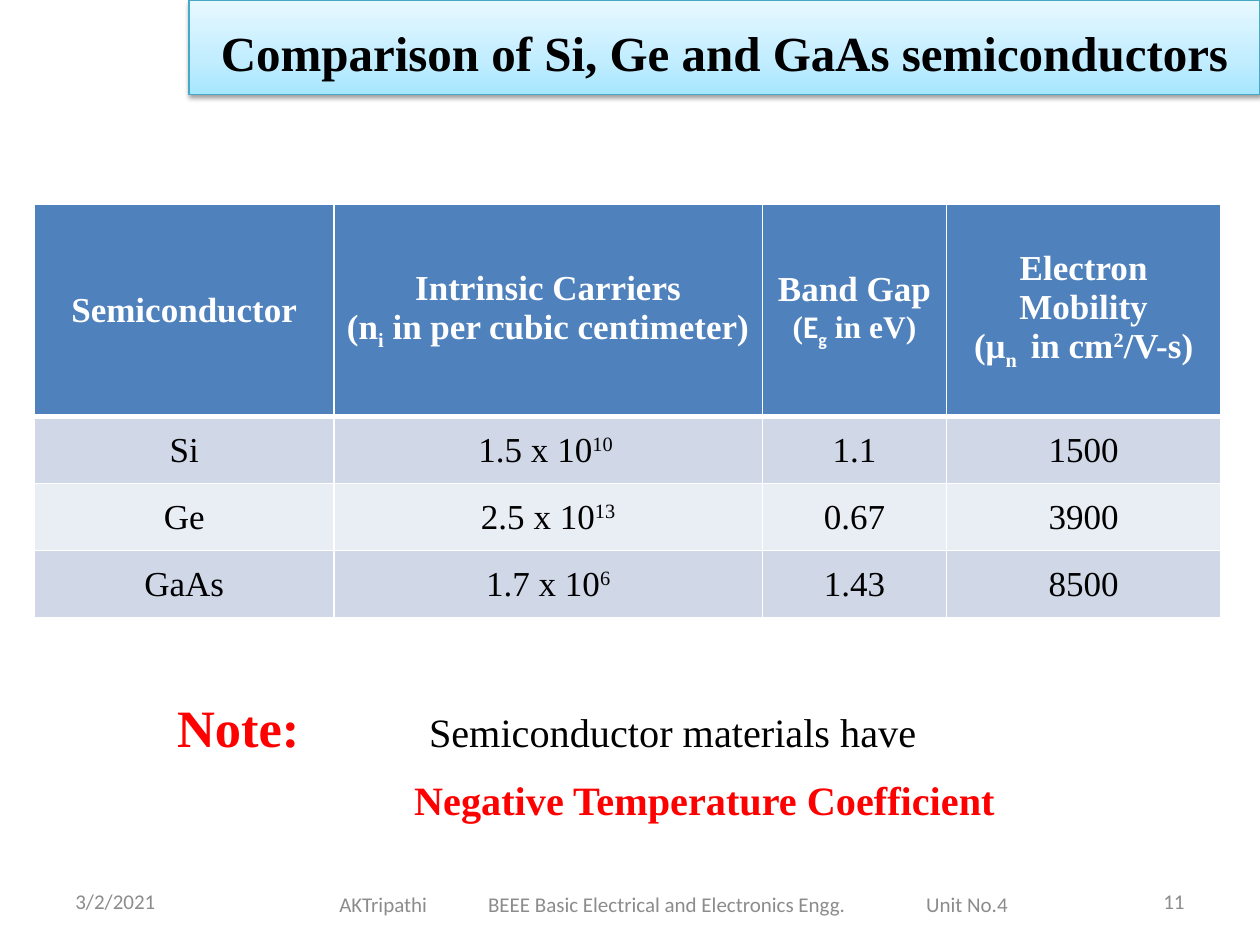
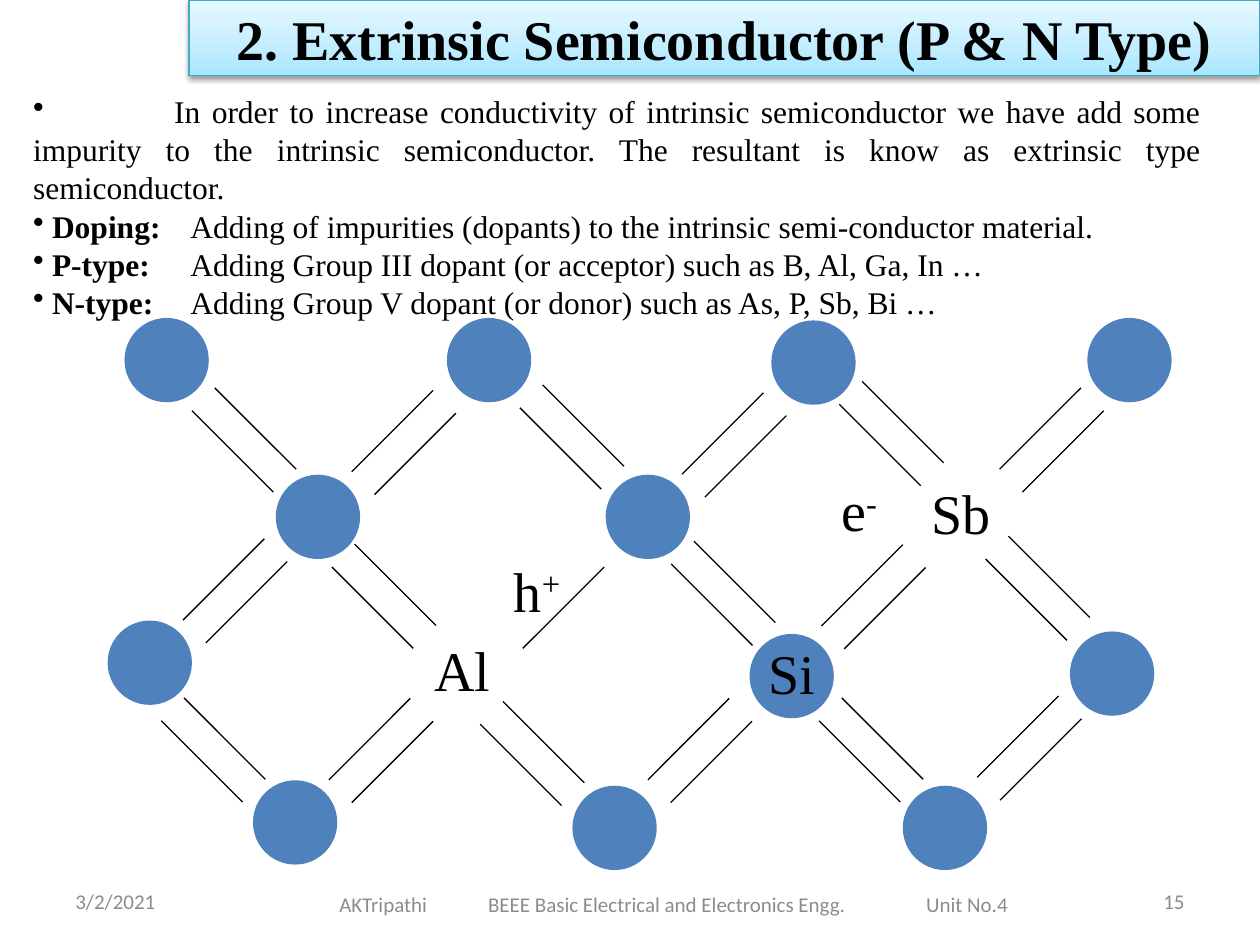
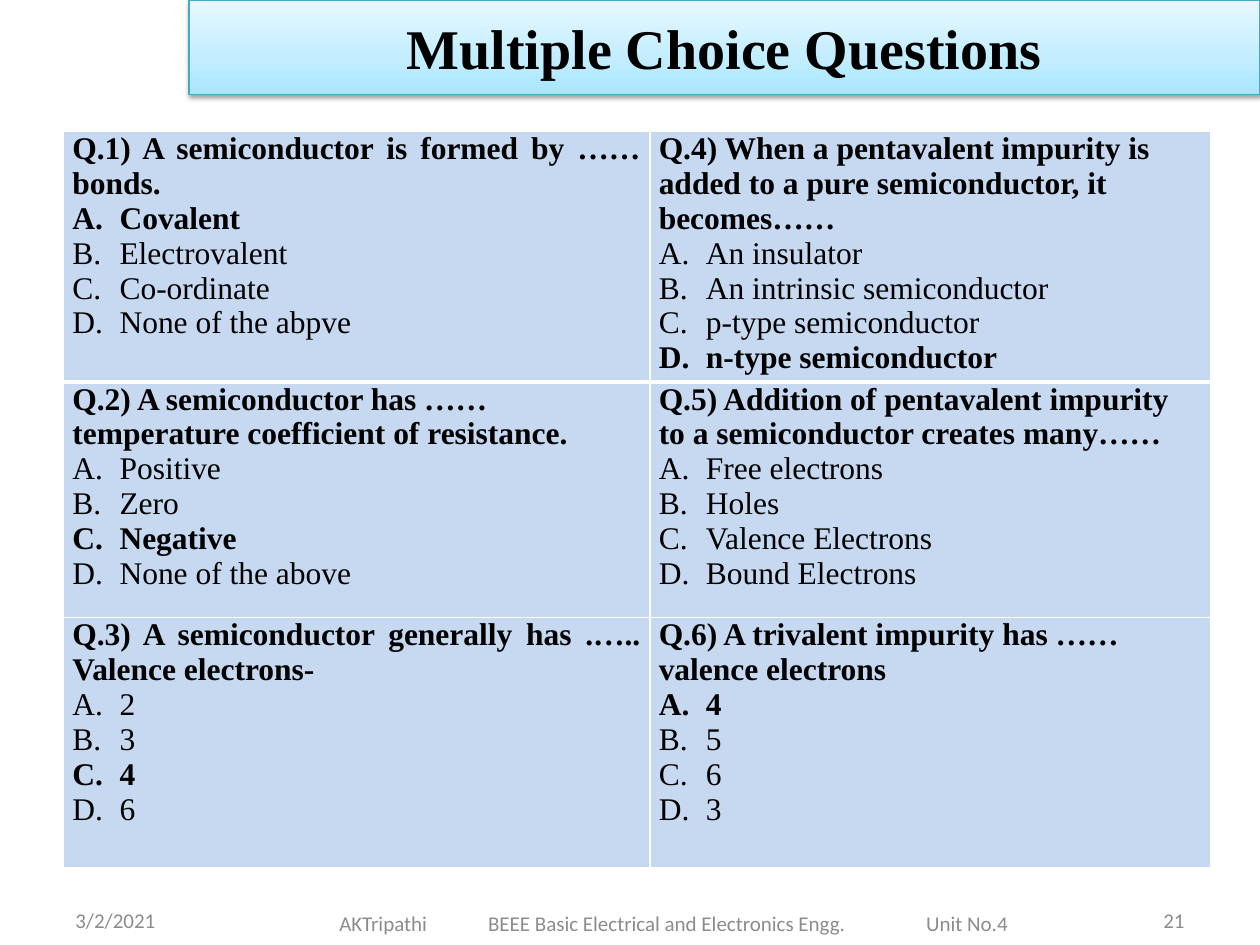
from dataclasses import dataclass
from typing import NamedTuple, Optional

from lxml.etree import SubElement
from pptx import Presentation
from pptx.dml.color import RGBColor
from pptx.enum.shapes import MSO_CONNECTOR, MSO_SHAPE
from pptx.enum.text import MSO_ANCHOR, PP_ALIGN
from pptx.oxml import parse_xml
from pptx.oxml.ns import nsdecls, qn
from pptx.util import Cm, Pt

BLACK = RGBColor(0x00, 0x00, 0x00)
WHITE = RGBColor(0xFF, 0xFF, 0xFF)
RED = RGBColor(0xFF, 0x00, 0x00)
GREY = RGBColor(0x8C, 0x8C, 0x8C)
BLUE = RGBColor(0x4F, 0x81, 0xBD)
ROW_DARK = RGBColor(0xD0, 0xD8, 0xE8)
ROW_LIGHT = RGBColor(0xE9, 0xED, 0xF4)
QUESTION_FILL = RGBColor(0xC6, 0xD9, 0xF1)
BAND_LINE = RGBColor(0x46, 0xAA, 0xC5)
BAND_STOPS = ((0, RGBColor(0xA7, 0xE6, 0xFF)), (35, RGBColor(0xC1, 0xED, 0xFF)),
              (100, RGBColor(0xE7, 0xF8, 0xFF)))
SERIF = "Times New Roman"
SANS = "Calibri"
SUBSCRIPT, SUPERSCRIPT = -25, 30


class Style(NamedTuple):
    size: float
    color: RGBColor = BLACK
    bold: bool = False
    name: str = SERIF


class Span(NamedTuple):
    text: str
    baseline: int = 0
    style: Optional[Style] = None


class Place(NamedTuple):
    """Left, top, width and height in centimetres."""
    left: float
    top: float
    width: float
    height: float


@dataclass
class Title:
    text: str
    size: float = 32
    height: float = 1.9
    inset_top: float = 0.13


@dataclass
class Question:
    text: str
    options: tuple[str, ...]
    answer: Optional[int]
    align: PP_ALIGN = PP_ALIGN.LEFT


class Bond(NamedTuple):
    """Left and top of the lower line of a bond, whether it falls to the right, and its line count."""
    left: float
    top: float
    falls: bool
    lines: int = 2


def set_font(font, style: Style) -> None:
    font.size = Pt(style.size)
    font.bold = style.bold
    font.name = style.name
    font.color.rgb = style.color


def write(para, spans, style: Style, align=PP_ALIGN.LEFT) -> None:
    para.alignment = align
    set_font(para.font, style)
    for span in [Span(spans)] if isinstance(spans, str) else spans:
        run = para.add_run()
        run.text = span.text
        if span.style:
            set_font(run.font, span.style)
        if span.baseline:
            run.font._element.set("baseline", str(span.baseline * 1000))


def next_paragraph(frame, index: int):
    return frame.paragraphs[0] if index == 0 else frame.add_paragraph()


def add_bullet(para, kind: str, value: dict, indent: float) -> None:
    properties = para._p.get_or_add_pPr()
    properties.set("marL", str(Cm(indent)))
    properties.set("indent", str(-Cm(indent)))
    SubElement(properties, qn(kind), value)


def add_tabs(para, *stops: float) -> None:
    tabs = SubElement(para._p.get_or_add_pPr(), qn("a:tabLst"))
    for stop in stops:
        SubElement(tabs, qn("a:tab"), {"pos": str(Cm(stop)), "algn": "l"})


def add_box(page, place: Place, anchor=MSO_ANCHOR.TOP):
    frame = page.shapes.add_textbox(*map(Cm, place)).text_frame
    frame.word_wrap = True
    frame.vertical_anchor = anchor
    return frame


def add_title(page, title: Title) -> None:
    band = page.shapes.add_shape(MSO_SHAPE.RECTANGLE, Cm(3.81), 0, Cm(21.59), Cm(title.height))
    stops = "".join(f'<a:gs pos="{pos * 1000}"><a:srgbClr val="{color}"/></a:gs>'
                    for pos, color in BAND_STOPS)
    properties = band._element.spPr
    properties.append(parse_xml(f'<a:gradFill {nsdecls("a")}><a:gsLst>{stops}</a:gsLst>'
                                '<a:lin ang="16200000" scaled="0"/></a:gradFill>'))
    band.line.color.rgb = BAND_LINE
    band.line.width = Pt(0.75)
    band.shadow.inherit = False
    properties.find(qn("a:effectLst")).append(parse_xml(
        f'<a:outerShdw {nsdecls("a")} blurRad="{Pt(3.1)}" dist="{Pt(1.6)}" dir="5400000" '
        'rotWithShape="0"><a:srgbClr val="000000"><a:alpha val="38000"/></a:srgbClr></a:outerShdw>'))
    frame = band.text_frame
    frame.word_wrap = True
    frame.vertical_anchor = MSO_ANCHOR.MIDDLE
    frame.margin_top = Cm(title.inset_top)
    write(frame.paragraphs[0], title.text, Style(title.size, bold=True), PP_ALIGN.CENTER)


def add_footer(page, number: int, shift: float = 0) -> None:
    style = Style(12, GREY, name=SANS)
    top = 17.67 + shift
    date = add_box(page, Place(1.27, top, 5.92, 1.01), MSO_ANCHOR.MIDDLE)
    write(date.paragraphs[0], "3/2/2021", style)
    course = add_box(page, Place(6.35, top + 0.06, 14.48, 1.01), MSO_ANCHOR.MIDDLE)
    course.margin_left = Cm(0.49)
    add_tabs(course.paragraphs[0], 3, 11.83)
    write(course.paragraphs[0],
          "AKTripathi\tBEEE Basic Electrical and Electronics Engg.\tUnit No.4", style)
    page_number = add_box(page, Place(18.21, top, 5.92, 1.01), MSO_ANCHOR.MIDDLE)
    write(page_number.paragraphs[0], str(number), style, PP_ALIGN.RIGHT)


def paint_cell(cell, fill: RGBColor, top: float, bottom: float) -> None:
    cell.fill.solid()
    cell.fill.fore_color.rgb = fill
    properties = cell._tc.get_or_add_tcPr()
    for index, (side, width) in enumerate((("L", 1), ("R", 1), ("T", top), ("B", bottom))):
        properties.insert(index, parse_xml(
            f'<a:ln{side} {nsdecls("a")} w="{Pt(width)}"><a:solidFill>'
            f'<a:srgbClr val="{WHITE}"/></a:solidFill></a:ln{side}>'))


def add_grid(page, left: float, top: float, widths, heights, fills):
    """Add a table with white rules, a thick one under the first row, and one fill per row."""
    table = page.shapes.add_table(len(heights), len(widths), Cm(left), Cm(top),
                                  Cm(sum(widths)), Cm(sum(heights))).table
    table.first_row = table.horz_banding = False
    for column, width in zip(table.columns, widths):
        column.width = Cm(width)
    for index, (row, height, fill) in enumerate(zip(table.rows, heights, fills)):
        row.height = Cm(height)
        for cell in row.cells:
            paint_cell(cell, fill, 3 if index == 1 else 1, 3 if index == 0 else 1)
    return table


def power(base: str, exponent: str) -> list[Span]:
    return [Span(f"{base} x 10"), Span(exponent, SUPERSCRIPT)]


def build_comparison(page) -> None:
    add_title(page, Title("Comparison of Si, Ge and GaAs semiconductors", 28, inset_top=0.31))
    head = Style(20, WHITE, True)
    small = head._replace(size=18)
    small_sans = small._replace(name=SANS)
    rows = [
        [["Semiconductor"],
         ["Intrinsic Carriers",
          [Span("(n"), Span("i", SUBSCRIPT), Span(" in per cubic centimeter)")]],
         ["Band Gap",
          [Span("(", style=small), Span("E", style=small_sans),
           Span("g", SUBSCRIPT, small_sans), Span(" in eV)", style=small)]],
         ["Electron Mobility",
          [Span("(μ"), Span("n ", SUBSCRIPT), Span(" in cm"), Span("2", SUPERSCRIPT),
           Span("/V-s)")]]],
        [["Si"], [power("1.5", "10 ")], ["1.1"], ["1500"]],
        [["Ge"], [power("2.5", "13")], ["0.67"], ["3900"]],
        [["GaAs"], [power("1.7", "6")], ["1.43"], ["8500"]],
    ]
    table = add_grid(page, 0.7, 4.12, (6.03, 8.64, 3.71, 5.53), (4.28, 1.35, 1.35, 1.35),
                     (BLUE, ROW_DARK, ROW_LIGHT, ROW_DARK))
    for row_index, row in enumerate(rows):
        style = head if row_index == 0 else Style(20)
        for cell, lines in zip(table.rows[row_index].cells, row):
            cell.vertical_anchor = MSO_ANCHOR.MIDDLE
            for index, line in enumerate(lines):
                write(next_paragraph(cell.text_frame, index), line, style, PP_ALIGN.CENTER)

    note = add_box(page, Place(0.79, 13.12, 23.93, 3.6), MSO_ANCHOR.BOTTOM)
    note.margin_left = Cm(2.78)
    lead = note.paragraphs[0]
    add_tabs(lead, 5.08)
    write(lead, [Span("Note:\t", style=Style(30, RED, True)),
                 Span("Semiconductor materials have")], Style(23))
    finding = note.add_paragraph()
    finding._p.get_or_add_pPr().set("marL", str(Cm(4.78)))
    finding.space_before = Pt(9.5)
    write(finding, "Negative Temperature Coefficient", Style(23, RED, True))
    add_footer(page, 11)


ATOMS = ((2.51, 6.41), (9.01, 6.41), (15.55, 6.46), (21.92, 6.41), (5.56, 9.57), (12.21, 9.57),
         (2.17, 12.51), (15.11, 12.78), (21.57, 12.73), (5.1, 15.73), (11.54, 15.84),
         (18.2, 15.84))
BONDS = (
    Bond(3.87, 8.28, True), Bond(7.55, 8.33, False), Bond(10.48, 8.22, True),
    Bond(14.21, 8.38, False), Bond(16.92, 8.15, True), Bond(20.61, 8.28, False),
    Bond(4.15, 11.32, False), Bond(6.69, 11.43, True), Bond(10.54, 11.43, False, 1),
    Bond(13.53, 11.37, True), Bond(17.02, 11.44, False), Bond(19.87, 11.27, True),
    Bond(3.25, 14.53, True), Bond(7.09, 14.54, False), Bond(9.68, 14.6, True),
    Bond(13.52, 14.54, False), Bond(16.51, 14.53, True), Bond(20.16, 14.49, False),
)
LABELS = (
    (10.11, 11.1, [Span("h"), Span("+", SUPERSCRIPT)]),
    (8.51, 12.69, "Al"),
    (16.71, 9.47, [Span("e"), Span("-", SUPERSCRIPT)]),
    (18.52, 9.52, "Sb"),
    (15.24, 12.75, "Si"),
)
DOPING = (
    ("Doping:", "Adding of impurities (dopants) to the intrinsic semi-conductor material."),
    ("P-type:", "Adding Group III dopant (or acceptor) such as B, Al, Ga, In …"),
    ("N-type:", "Adding Group V dopant (or donor) such as As, P, Sb, Bi …"),
)


def add_bond(page, bond: Bond) -> None:
    length, gap = 1.64, 0.46
    for index in range(bond.lines):
        left = bond.left + index * gap * (1 if bond.falls else -1)
        top = bond.top - index * gap
        ends = (top, top + length) if bond.falls else (top + length, top)
        line = page.shapes.add_connector(MSO_CONNECTOR.STRAIGHT, Cm(left), Cm(ends[0]),
                                         Cm(left + length), Cm(ends[1]))
        line.line.color.rgb = BLACK
        line.line.width = Pt(0.75)
        SubElement(line._element.spPr, qn("a:effectLst"))


def build_extrinsic(page) -> None:
    for left, top in ATOMS:
        atom = page.shapes.add_shape(MSO_SHAPE.OVAL, Cm(left), Cm(top), Cm(1.7), Cm(1.7))
        atom.shadow.inherit = False
        atom.fill.solid()
        atom.fill.fore_color.rgb = BLUE
        atom.line.fill.background()
    for bond in BONDS:
        add_bond(page, bond)
    for left, top, text in LABELS:
        write(add_box(page, Place(left, top, 1.8, 1.6)).paragraphs[0], text, Style(32))

    body = add_box(page, Place(0.42, 1.73, 24.05, 4.93))
    intro = body.paragraphs[0]
    add_bullet(intro, "a:buChar", {"char": "•"}, 0)
    add_tabs(intro, 2.84)
    write(intro, "\tIn order to increase conductivity of intrinsic semiconductor we have add some "
                 "impurity to the intrinsic semiconductor. The resultant is know as extrinsic type "
                 "semiconductor.", Style(18), PP_ALIGN.JUSTIFY)
    for index, (term, meaning) in enumerate(DOPING):
        para = body.add_paragraph()
        para.space_before = Pt(0 if index else 1)
        add_bullet(para, "a:buChar", {"char": "•"}, 0.38)
        add_tabs(para, 3.17)
        write(para, [Span(f"{term}\t", style=Style(18, bold=True)), Span(meaning)], Style(18))
    add_footer(page, 15)
    add_title(page, Title("2. Extrinsic Semiconductor (P & N Type)", height=1.52))


QUESTIONS = (
    (Question("Q.1) A semiconductor is formed by …… bonds.",
              ("Covalent", "Electrovalent", "Co-ordinate", "None of the abpve"), 0,
              PP_ALIGN.JUSTIFY),
     Question("Q.4) When a pentavalent impurity is added to a pure semiconductor, it becomes……",
              ("An insulator", "An intrinsic semiconductor", "p-type semiconductor",
               "n-type semiconductor"), 3)),
    (Question("Q.2) A semiconductor has …… temperature coefficient of resistance.",
              ("Positive", "Zero", "Negative", "None of the above"), 2),
     Question("Q.5) Addition of pentavalent impurity to a semiconductor creates many……",
              ("Free electrons", "Holes", "Valence Electrons", "Bound Electrons"), None)),
    (Question("Q.3) A semiconductor generally has .….. Valence electrons-",
              ("2", "3", "4", "6"), 2, PP_ALIGN.JUSTIFY),
     Question("Q.6) A trivalent impurity has …… valence electrons", ("4", "5", "6", "3"), 0)),
)


def fill_question(cell, question: Question) -> None:
    cell.margin_left = cell.margin_right = Cm(0.18)
    cell.margin_top = cell.margin_bottom = 0
    frame = cell.text_frame
    write(frame.paragraphs[0], question.text, Style(18, bold=True), question.align)
    for index, option in enumerate(question.options):
        para = frame.add_paragraph()
        add_bullet(para, "a:buAutoNum", {"type": "alphaUcPeriod"}, 0.95)
        write(para, option, Style(18, bold=index == question.answer))


def build_questions(page) -> None:
    add_title(page, Title("Multiple Choice Questions"))
    table = add_grid(page, 1.28, 2.65, (11.82, 11.31), (5.05, 4.75, 5.04), [QUESTION_FILL] * 3)
    for row, questions in zip(table.rows, QUESTIONS):
        for cell, question in zip(row.cells, questions):
            fill_question(cell, question)
    add_footer(page, 21, shift=0.38)


def main() -> None:
    deck = Presentation()
    deck.slide_width, deck.slide_height = Cm(25.4), Cm(19.05)
    for build in (build_comparison, build_extrinsic, build_questions):
        build(deck.slides.add_slide(deck.slide_layouts[6]))
    deck.save("out.pptx")


if __name__ == "__main__":
    main()
